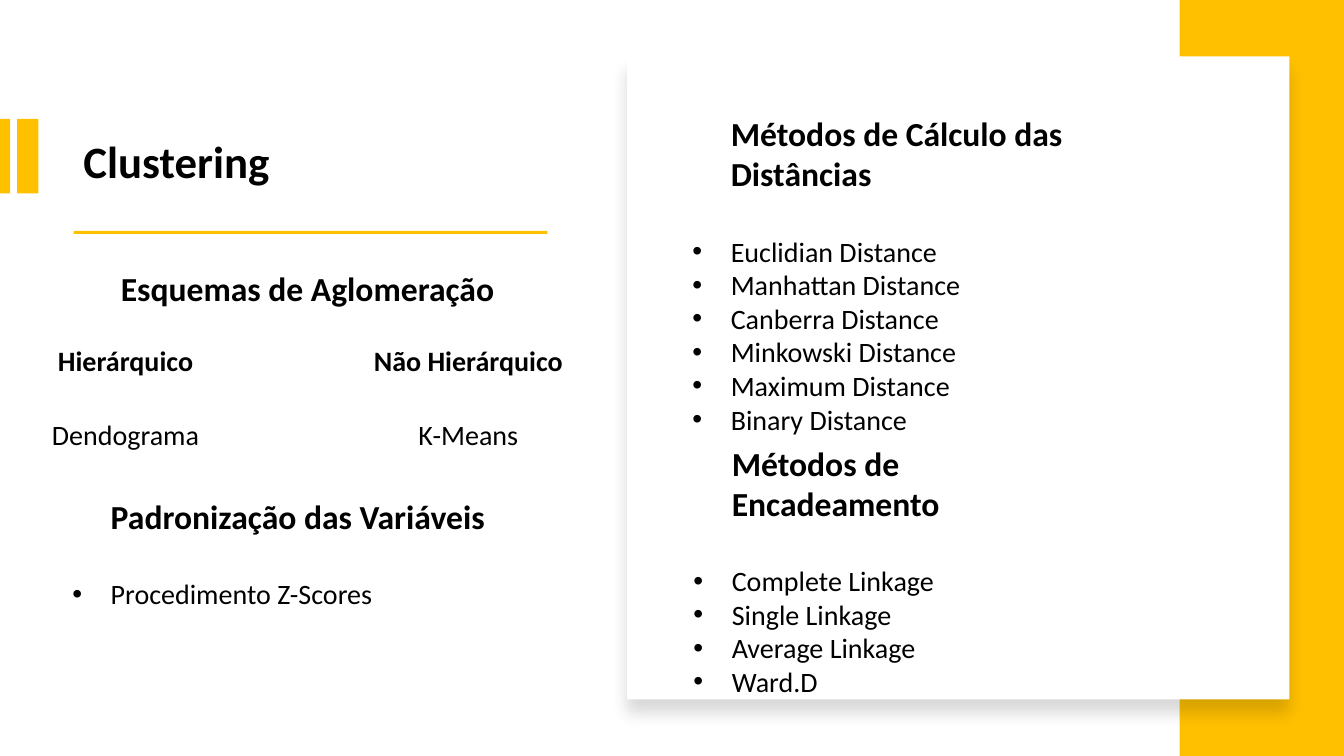
from lxml import etree
from pptx import Presentation
from pptx import util as u
from pptx.dml.color import RGBColor
from pptx.enum import shapes, text
from pptx.oxml.ns import qn

WIDTH, HEIGHT = 13.33, 7.5
GOLD, WHITE, BLACK = "FFC000", "FFFFFF", "000000"
FONT = "Calibri"
INDENT, HANG, GAP = 1, 0.38, 29
SCHEME_TOP = 3.36

bars = [
    (0, 1.18, 0.1, 0.74),
    (0.17, 1.18, 0.21, 0.74),
    (0.73, 2.29, 4.7, 0.03),
    (11.7, 0, WIDTH - 11.7, HEIGHT),
]
card_area = (6.22, 0.56, 6.57, 6.38)

title = ("Clustering", (0.73, 1.28, 4.7, 0.64))
schemes = [
    ("Hierárquico", "Dendograma", (-0.75, SCHEME_TOP, 2.99, 1.18)),
    ("Não Hierárquico", "K-Means", (2.47, SCHEME_TOP, 3.35, 1.18)),
]
sections = [
    ("Esquemas de Aglomeração", [], (0.1, 2.61, 5.39, 0.5)),
    ("Padronização das Variáveis", ["Procedimento Z-Scores"], (0, 4.87, 5.94, 1.25)),
    ("Métodos de Cálculo das Distâncias",
     [f"{name} Distance" for name in
      ("Euclidian", "Manhattan", "Canberra", "Minkowski", "Maximum", "Binary")],
     (6.15, 1.07, 5.9, 2.93)),
    ("Métodos de Encadeamento",
     ["Complete Linkage", "Single Linkage", "Average Linkage", "Ward.D"],
     (6.16, 4.34, 4.9, 2.26)),
]

deck = Presentation()
deck.slide_width, deck.slide_height = u.Inches(WIDTH), u.Inches(HEIGHT)
page = deck.slides.add_slide(deck.slide_layouts[6])


def color(value):
    return RGBColor.from_string(value)


def add_block(area, fill):
    block = page.shapes.add_shape(shapes.MSO_SHAPE.RECTANGLE, *map(u.Inches, area))
    block.shadow.inherit = False
    block.fill.solid()
    block.fill.fore_color.rgb = color(fill)
    block.line.fill.background()
    return block


def add_shadow(block, blur, distance, angle, opacity):
    effects = block._element.spPr.find(qn("a:effectLst"))
    shadow = etree.SubElement(
        effects, qn("a:outerShdw"), blurRad=str(u.Pt(blur)), dist=str(u.Pt(distance)),
        dir=str(angle * 60000), algn="t", rotWithShape="0")
    tint = etree.SubElement(shadow, qn("a:srgbClr"), val=BLACK)
    etree.SubElement(tint, qn("a:alpha"), val=str(opacity * 1000))


def add_frame(area):
    frame = page.shapes.add_textbox(*map(u.Inches, area)).text_frame
    frame.word_wrap = True
    return frame


def write(frame, words, size=20, bold=False, indent=INDENT, bullet=False,
          align=text.PP_ALIGN.LEFT, after=0):
    para = frame.paragraphs[0] if not frame.text else frame.add_paragraph()
    para.alignment = align
    para.space_after = u.Pt(after)
    layout = para._p.get_or_add_pPr()
    layout.set("marL", str(u.Inches(indent)))
    layout.set("indent", str(u.Inches(-HANG if bullet else 0)))
    if bullet:
        etree.SubElement(layout, qn("a:buFont"), typeface="Arial")
        etree.SubElement(layout, qn("a:buChar"), char="•")
    span = para.add_run()
    span.text = words
    span.font.name, span.font.size, span.font.bold = FONT, u.Pt(size), bold
    span.font.color.rgb = color(BLACK)


for area in bars:
    add_block(area, GOLD)
card = add_block(card_area, WHITE)
add_shadow(card, blur=11, distance=10, angle=90, opacity=15)

heading, area = title
write(add_frame(area), heading, size=32, bold=True, indent=0)

for heading, method, area in schemes:
    frame = add_frame(area)
    write(frame, heading, bold=True, align=text.PP_ALIGN.CENTER, after=GAP)
    write(frame, method, align=text.PP_ALIGN.CENTER)

for heading, items, area in sections:
    frame = add_frame(area)
    write(frame, heading, size=24, bold=True, after=GAP if items else 0)
    for item in items:
        write(frame, item, bullet=True)

deck.save("out.pptx")
